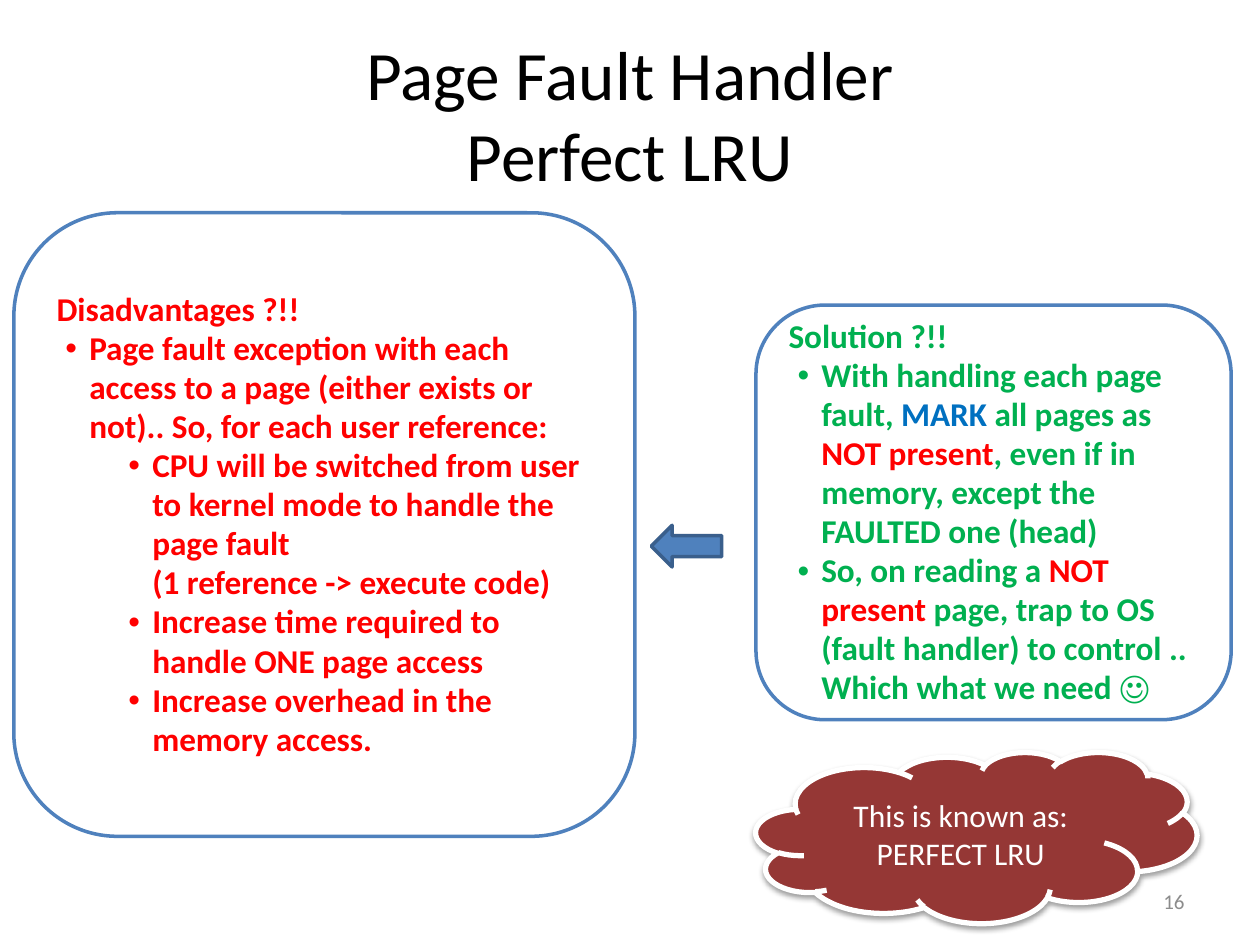
from lxml.etree import SubElement
from pptx import Presentation
from pptx.dml.color import RGBColor
from pptx.enum.shapes import MSO_SHAPE
from pptx.enum.text import MSO_ANCHOR, MSO_AUTO_SIZE, PP_ALIGN
from pptx.oxml.ns import qn
from pptx.util import Cm, Pt

BLACK = RGBColor(0x00, 0x00, 0x00)
WHITE = RGBColor(0xFF, 0xFF, 0xFF)
GREY = RGBColor(0x8C, 0x8C, 0x8C)
RED = RGBColor(0xFF, 0x00, 0x00)
GREEN = RGBColor(0x00, 0xB0, 0x50)
BLUE = RGBColor(0x00, 0x70, 0xC0)
ACCENT = RGBColor(0x4F, 0x81, 0xBD)
ACCENT_DARK = RGBColor(0x3A, 0x5F, 0x8C)
MAROON = RGBColor(0x95, 0x37, 0x35)

FONT = "Calibri"
LEVEL_MARGINS = {1: 0.66, 2: 1.93}
HANGING = 0.48

# Each paragraph is a level and its runs; a run is a text and its colour.
SOLUTION = [
    (0, [("Solution ?!!", GREEN)]),
    (1, [("With handling each page fault, ", GREEN), ("MARK", BLUE),
         (" all pages as ", GREEN), ("NOT present", RED),
         (", even if in memory, except the FAULTED one (head)", GREEN)]),
    (1, [("So, on reading a ", GREEN), ("NOT present", RED),
         (" page, trap to OS (fault handler) to control .. "
          "Which what we need \u263a", GREEN)]),
]
DISADVANTAGES = [
    (0, [("Disadvantages ?!!", RED)]),
    (1, [("Page fault exception with each access to a page (either exists "
          "or not).. So, for each user reference:", RED)]),
    (2, [("CPU will be switched from user to kernel mode to handle the page "
          "fault\n(1 reference -> execute code)", RED)]),
    (2, [("Increase time required to handle ONE page access", RED)]),
    (2, [("Increase overhead in the memory access.", RED)]),
]


def set_attrs(obj, **values):
    """Set several attributes of one object."""
    for name, value in values.items():
        setattr(obj, name, value)


def add_text(p, text, size, color, bold=False):
    """Add formatted text to a paragraph, with line breaks at newlines."""
    for i, line in enumerate(text.split("\n")):
        if i:
            p.add_line_break()
        r = p.add_run()
        r.text = line
        set_attrs(r.font, name=FONT, size=Pt(size), bold=bold)
        r.font.color.rgb = color


def place(sp, box):
    """Move and size a shape from left, top, width and height in cm."""
    names = ("left", "top", "width", "height")
    set_attrs(sp, **dict(zip(names, map(Cm, box))))


def fill_single(sp, text, size, color, align):
    """Put one paragraph of plain text in a shape."""
    tf = sp.text_frame
    set_attrs(tf, word_wrap=True, auto_size=MSO_AUTO_SIZE.NONE,
              vertical_anchor=MSO_ANCHOR.MIDDLE)
    p = tf.paragraphs[0]
    p.alignment = align
    add_text(p, text, size, color)
    return p


def add_box(s, kind, box, fill, line, width):
    """Add a filled and outlined preset shape without shadow."""
    sp = s.shapes.add_shape(kind, *map(Cm, box))
    sp.shadow.inherit = False
    sp.fill.solid()
    sp.fill.fore_color.rgb = fill
    sp.line.color.rgb = line
    sp.line.width = Pt(width)
    return sp


def add_bullet(p, level):
    """Give a paragraph a hanging bullet at its level."""
    p.level = level
    pPr = p._p.get_or_add_pPr()
    pPr.set("marL", str(Cm(LEVEL_MARGINS[level])))
    pPr.set("indent", str(-Cm(HANGING)))
    SubElement(pPr, qn("a:buFont")).set("typeface", "Arial")
    SubElement(pPr, qn("a:buChar")).set("char", "\u2022")


def add_list_box(s, box, paragraphs):
    """Add a rounded box that holds a heading and a bulleted list."""
    sp = add_box(s, MSO_SHAPE.ROUNDED_RECTANGLE, box, WHITE, ACCENT, 2)
    tf = sp.text_frame
    set_attrs(tf, word_wrap=True, vertical_anchor=MSO_ANCHOR.MIDDLE)
    for i, (level, runs) in enumerate(paragraphs):
        p = tf.add_paragraph() if i else tf.paragraphs[0]
        set_attrs(p, alignment=PP_ALIGN.LEFT, line_spacing=0.98)
        if level:
            add_bullet(p, level)
        for text, color in runs:
            add_text(p, text, 19, color, bold=True)


def add_shadow(sp):
    """Give a shape a soft shadow below it."""
    effects = sp._element.spPr.find(qn("a:effectLst"))
    shadow = SubElement(effects, qn("a:outerShdw"), blurRad=str(Pt(3.1)),
                        dist=str(Pt(1.6)), dir="5400000", rotWithShape="0")
    color = SubElement(shadow, qn("a:srgbClr"), val=str(BLACK))
    SubElement(color, qn("a:alpha"), val="38000")


def main():
    """Build the slide and save it."""
    prs = Presentation()
    set_attrs(prs, slide_width=Cm(25.4), slide_height=Cm(19.05))
    s = prs.slides.add_slide(prs.slide_layouts[5])

    title = s.shapes.title
    place(title, (1.27, 0.76, 22.86, 3.18))
    p = fill_single(title, "Page Fault Handler\nPerfect LRU", 39.6, BLACK,
                    PP_ALIGN.CENTER)
    p.line_spacing = 0.98

    number = s.shapes.add_textbox(*map(Cm, (18.21, 17.65, 5.92, 1.02)))
    fill_single(number, "16", 12, GREY, PP_ALIGN.RIGHT)

    add_list_box(s, (15.24, 6.15, 9.58, 8.36), SOLUTION)
    cloud = add_box(s, MSO_SHAPE.CLOUD, (15.24, 15.16, 8.89, 3.45),
                    MAROON, WHITE, 3)
    add_shadow(cloud)
    fill_single(cloud, "This is known as: PERFECT LRU", 18, WHITE,
                PP_ALIGN.CENTER)
    add_list_box(s, (0.28, 4.29, 12.52, 12.57), DISADVANTAGES)
    add_box(s, MSO_SHAPE.LEFT_ARROW, (13.13, 10.59, 1.42, 0.84),
            ACCENT, ACCENT_DARK, 2)

    prs.save("out.pptx")


main()
